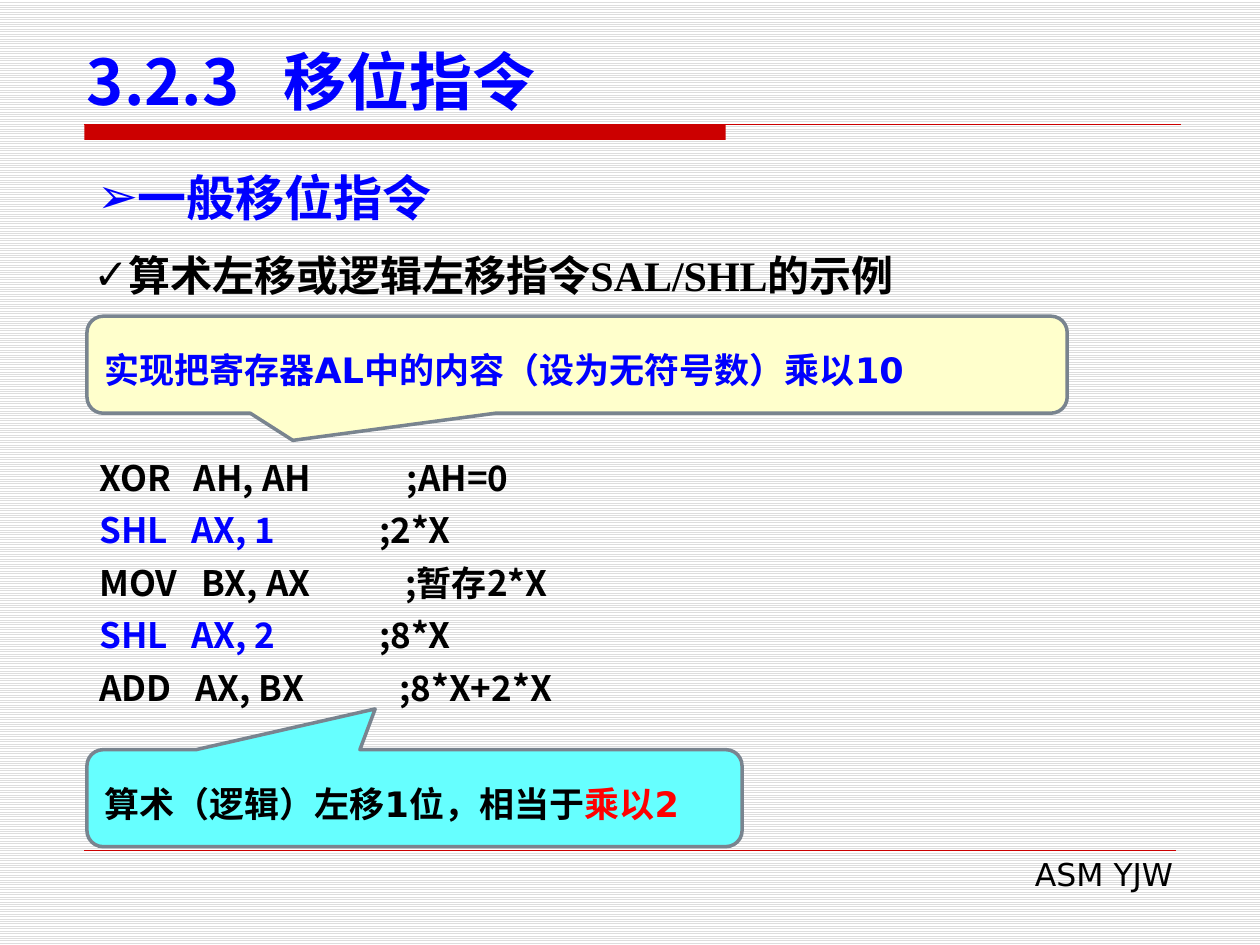
from dataclasses import dataclass

from pptx import Presentation
from pptx.dml.color import RGBColor
from pptx.enum.dml import MSO_PATTERN
from pptx.enum.shapes import MSO_CONNECTOR, MSO_SHAPE
from pptx.enum.text import MSO_ANCHOR as ANCHOR, MSO_AUTO_SIZE as AUTO, PP_ALIGN as ALIGN
from pptx.oxml.ns import qn
from pptx.util import Inches, Pt
from lxml.etree import SubElement


@dataclass(frozen=True)
class Theme:
    black: str = "000000"
    blue: str = "0000FF"
    red: str = "FF0000"
    rule: str = "CC0000"
    outline: str = "79848F"
    cyan: str = "66FFFF"
    cream: str = "FFFFCC"
    stripe: str = "DDDDDD"
    paper: str = "FFFFFF"
    sans: str = "DejaVu Sans"
    serif: str = "Times New Roman"
    cjk: str = "Noto Sans CJK SC"
    title: int = 36
    heading: int = 28
    subheading: int = 24
    body: int = 20
    footer: int = 18
    leading: int = 30


T = Theme()
rgb = RGBColor.from_string

# Mnemonic, operands, comment, colour and the two tab stops of each line
CODE = [
    ("XOR", "AH, AH", ";AH=0", T.black, (0.75, 2.44)),
    ("SHL", "AX, 1", ";2*X", T.blue, (0.73, 2.22)),
    ("MOV", "BX, AX", ";暂存2*X", T.black, (0.81, 2.43)),
    ("SHL", "AX, 2", ";8*X", T.blue, (0.73, 2.22)),
    ("ADD", "AX, BX", ";8*X+2*X", T.black, (0.76, 2.38)),
]


def add_run(p, text, size, color, font=T.sans, bold=True):
    r = p.add_run()
    r.text = text
    r.font.size, r.font.bold, r.font.name = Pt(size), bold, font
    r.font.color.rgb = rgb(color)
    SubElement(r.font._element, qn("a:ea"), typeface=T.cjk)


def set_tabs(p, stops):
    tabs = SubElement(p._p.get_or_add_pPr(), qn("a:tabLst"))
    for stop in stops:
        SubElement(tabs, qn("a:tab"), pos=str(Inches(stop)), algn="l")


def set_bullet(p, char):
    pPr = p._p.get_or_add_pPr()
    pPr.set("marL", "0")
    pPr.set("indent", "0")
    SubElement(pPr, qn("a:buChar"), char=char)


def place(sp, left, top, width, height, anchor=ANCHOR.TOP):
    sp.left, sp.top = Inches(left), Inches(top)
    sp.width, sp.height = Inches(width), Inches(height)
    tf = sp.text_frame
    tf.word_wrap, tf.auto_size, tf.vertical_anchor = True, AUTO.NONE, anchor
    return tf


def add_text(s, *box):
    return place(s.shapes.add_textbox(0, 0, 0, 0), *box)


def add_bullet_line(sp, box, char, text, size, color, font):
    p = place(sp, *box).paragraphs[0]
    set_bullet(p, char)
    p.space_before = Pt(0)
    add_run(p, text, size, color, font)


def add_rule(s, left, right, y, width):
    line = s.shapes.add_connector(
        MSO_CONNECTOR.STRAIGHT, Inches(left), Inches(y), Inches(right), Inches(y))
    line.line.color.rgb, line.line.width = rgb(T.rule), Pt(width)
    SubElement(line._element.spPr, qn("a:effectLst"))


def add_bar(s, left, top, width, height):
    sp = s.shapes.add_shape(
        MSO_SHAPE.RECTANGLE, Inches(left), Inches(top), Inches(width), Inches(height))
    sp.shadow.inherit = False
    sp.fill.solid()
    sp.fill.fore_color.rgb = rgb(T.rule)
    sp.line.fill.background()


def add_callout(s, box, fill, tip, runs):
    sp = s.shapes.add_shape(MSO_SHAPE.ROUNDED_RECTANGULAR_CALLOUT, 0, 0, 0, 0)
    tf = place(sp, *box, anchor=ANCHOR.MIDDLE)
    sp.shadow.inherit = False
    sp.adjustments[0], sp.adjustments[1] = tip
    sp.fill.solid()
    sp.fill.fore_color.rgb = rgb(fill)
    sp.line.color.rgb, sp.line.width = rgb(T.outline), Pt(2)
    p = tf.paragraphs[0]
    p.alignment, p.line_spacing = ALIGN.LEFT, Pt(T.leading)
    for text, color in runs:
        add_run(p, text, T.body, color)


def add_code(s, box):
    tf = add_text(s, *box)
    for i, (op, args, comment, color, stops) in enumerate(CODE):
        p = tf.add_paragraph() if i else tf.paragraphs[0]
        set_tabs(p, stops)
        p.line_spacing = Pt(T.leading)
        add_run(p, f"{op}\t{args}\t", T.body, color, T.cjk)
        add_run(p, comment, T.body, T.black, T.cjk)


def set_background(s):
    fill = s.background.fill
    fill.patterned()
    fill.pattern = MSO_PATTERN.LIGHT_HORIZONTAL
    fill.fore_color.rgb, fill.back_color.rgb = rgb(T.stripe), rgb(T.paper)


def main():
    prs = Presentation()
    prs.slide_width, prs.slide_height = Inches(10), Inches(7.5)
    s = prs.slides.add_slide(prs.slide_layouts[3])
    title, heading, subheading = list(s.placeholders)[:3]
    for extra in list(s.placeholders)[3:]:
        extra._element.getparent().remove(extra._element)

    # Background, rules and footer
    set_background(s)
    add_bar(s, 0.67, 0.99, 5.09, 0.12)
    add_rule(s, 0.67, 9.37, 0.99, 0.75)
    add_rule(s, 0.67, 9.33, 6.75, 0.25)
    p = add_text(s, 3.82, 6.74, 5.59, 0.4).paragraphs[0]
    p.alignment = ALIGN.RIGHT
    add_run(p, "ASM YJW", T.footer, T.black, bold=False)

    # Title and headings
    p = place(title, 0.59, 0.28, 9.06, 0.71, ANCHOR.BOTTOM).paragraphs[0]
    set_tabs(p, [1.56])
    p.alignment = ALIGN.LEFT
    add_run(p, "3.2.3\t移位指令", T.title, T.blue, T.cjk)
    add_bullet_line(heading, (0.67, 1.28, 8.66, 0.57), "➢",
                    "一般移位指令", T.heading, T.blue, T.sans)
    add_bullet_line(subheading, (0.64, 1.93, 7.33, 0.5), "✓",
                    "算术左移或逻辑左移指令SAL/SHL的示例", T.subheading, T.black, T.serif)

    # Code listing with its two callouts
    add_code(s, (0.69, 3.49, 9, 2.2))
    add_callout(s, (0.69, 5.95, 5.2, 0.77), T.cyan, (-0.06, -0.92),
                [("算术（逻辑）左移1位，相当于", T.black), ("乘以2", T.red)])
    add_callout(s, (0.69, 2.51, 7.78, 0.77), T.cream, (-0.29, 0.78),
                [("实现把寄存器AL中的内容（设为无符号数）乘以10", T.blue)])

    prs.save("out.pptx")


if __name__ == "__main__":
    main()
